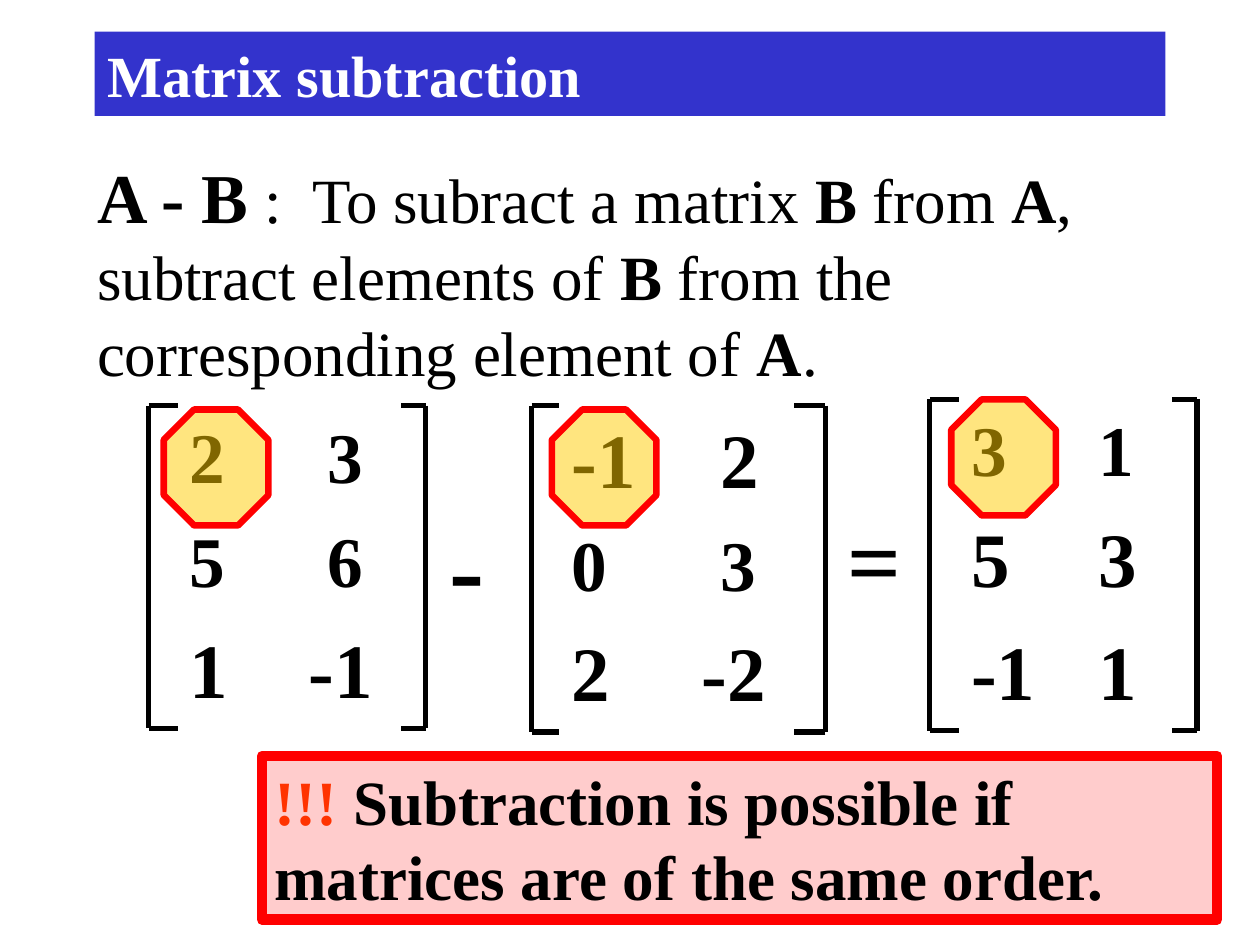
"""Build a slide that explains matrix subtraction with a worked 3 x 2 example."""
from lxml.etree import SubElement
from pptx import Presentation
from pptx.dml.color import RGBColor
from pptx.enum.shapes import MSO_CONNECTOR as LINE, MSO_SHAPE as SHAPE
from pptx.enum.text import MSO_ANCHOR as ANCHOR, MSO_AUTO_SIZE as FIT, PP_ALIGN as ALIGN
from pptx.oxml.ns import qn
from pptx.util import Inches, Pt

colour = RGBColor.from_string
deck = Presentation()
deck.slide_width, deck.slide_height = Inches(10), Inches(7.5)
slide = deck.slides.add_slide(deck.slide_layouts[1])
unit = deck.slide_width / 100


def grid(*steps):
    """Turn counts of grid columns and rows into slide lengths."""
    return [round(step * unit) for step in steps]


def write(shape, *runs, size=36, ink="000000", bold=True, anchor=ANCHOR.TOP, indent=1):
    """Fill a shape with one paragraph; a run is text or (text, overrides)."""
    frame = shape.text_frame
    frame.word_wrap, frame.auto_size, frame.vertical_anchor = True, FIT.NONE, anchor
    frame.margin_left = grid(indent)[0]
    line = frame.paragraphs[0]
    line.alignment, line.space_before = ALIGN.LEFT, Pt(0)
    props = line._p.get_or_add_pPr()
    props.set("marL", "0")
    props.set("indent", "0")
    SubElement(props, qn("a:buNone"))
    for item in runs:
        words, own = (item, {}) if isinstance(item, str) else item
        run = line.add_run()
        run.text = words
        run.font.name = "Times New Roman"
        run.font.size = Pt(own.get("size", size))
        run.font.bold = own.get("bold", bold)
        run.font.color.rgb = colour(own.get("ink", ink))


heading = slide.shapes.title
heading.left, heading.top, heading.width, heading.height = grid(7.5, 2.5, 85, 6.7)
heading.fill.solid()
heading.fill.fore_color.rgb = colour("3333CC")
write(heading, "Matrix subtraction", size=33.3, ink="FFFFFF", anchor=ANCHOR.MIDDLE)

definition = slide.placeholders[1]
definition.left, definition.top, definition.width, definition.height = grid(6.7, 11.7, 85, 19.7)
strong = {"bold": True}
write(definition, ("A - B", {"bold": True, "size": 40}), " :  To subract a matrix ",
      ("B", strong), " from ", ("A", strong), ", subtract elements of ", ("B", strong),
      " from the corresponding element of ", ("A", strong), ".", bold=False)

matrices = [
    {"columns": (11.8, 14.1, 23.5, 31.8, 33.8), "rows": (32.2, 40.5, 48.8, 57.8),
     "sizes": (40.7, 40.7, 44), "entries": (("2", "3"), ("5", "6"), ("1", "-1"))},
    {"columns": (42.2, 44.4, 54.7, 63, 65.5), "rows": (32.2, 40.8, 49.1, 58.1),
     "sizes": (44, 40.7, 44), "entries": (("-1", "2"), ("0", "3"), ("2", "-2"))},
    {"columns": (73.8, 76.1, 84.7, 93, 95), "rows": (31.7, 40, 49, 58),
     "sizes": (40.7, 44, 44), "entries": (("3", "1"), ("5", "3"), ("-1", "1"))},
]
for matrix in matrices:
    left, first, second, inner, right = matrix["columns"]
    rows = matrix["rows"]
    top, bottom = rows[0], rows[-1]
    for top_row, next_row, size, entries in zip(rows, rows[1:], matrix["sizes"], matrix["entries"]):
        for entry, start, end in zip(entries, (first, second), (second, inner)):
            shifted = start == second and not entry.startswith("-")
            cell = slide.shapes.add_textbox(*grid(start, top_row, end - start, next_row - top_row))
            write(cell, entry, size=size, indent=2.5 if shifted else 1)
    for outer, tip in ((left, first), (right, inner)):
        for ends in ((outer, top, tip, top), (outer, bottom, tip, bottom),
                     (outer, top, outer, bottom)):
            stroke = slide.shapes.add_connector(LINE.STRAIGHT, *grid(*ends))
            stroke.line.color.rgb, stroke.line.width = colour("000000"), Pt(3)
            SubElement(stroke._element.spPr, qn("a:effectLst"))

for operator, column, size in (("-", 34.7, 60), ("=", 66.3, 54)):
    write(slide.shapes.add_textbox(*grid(column, 39.3, 5.8, 19)), operator, size=size)

for column, row in ((13, 32.5), (43.8, 32.5), (75.5, 31.7)):
    marker = slide.shapes.add_shape(SHAPE.OCTAGON, *grid(column, row, 8.3, 9.2))
    marker.shadow.inherit = False
    marker.adjustments[0] = 0.29
    marker.fill.solid()
    marker.fill.fore_color.rgb = colour("FFCC00")
    tint = marker._element.spPr.find(qn("a:solidFill"))[0]
    SubElement(tint, qn("a:alpha"), val="50000")
    marker.line.color.rgb, marker.line.width = colour("FF0000"), Pt(3.75)

warning = slide.shapes.add_shape(SHAPE.RECTANGLE, *grid(20.8, 60, 75.8, 13))
warning.shadow.inherit = False
warning.fill.solid()
warning.fill.fore_color.rgb = colour("FFCCCC")
warning.line.color.rgb, warning.line.width = colour("FF0000"), Pt(6)
write(warning, ("!!!", {"ink": "FF3300"}),
      " Subtraction is possible if matrices are of the same order.")

deck.save("out.pptx")
